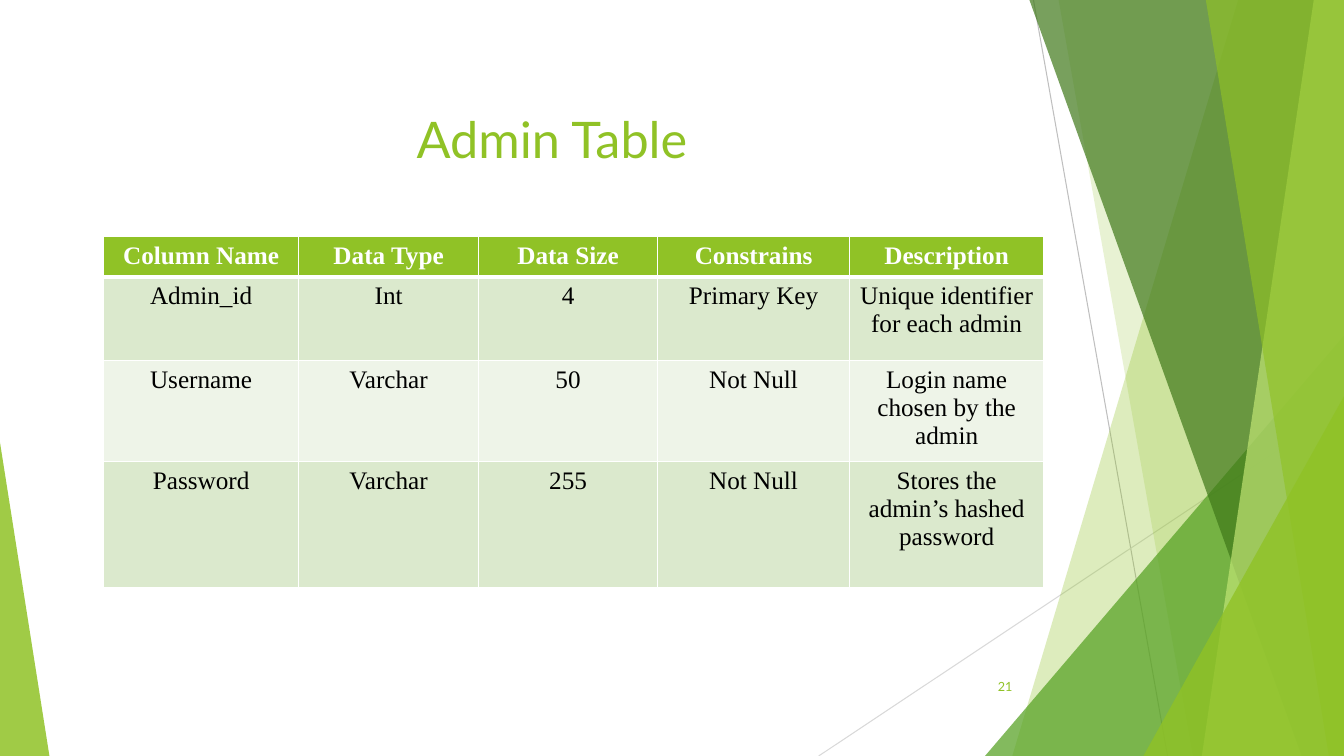
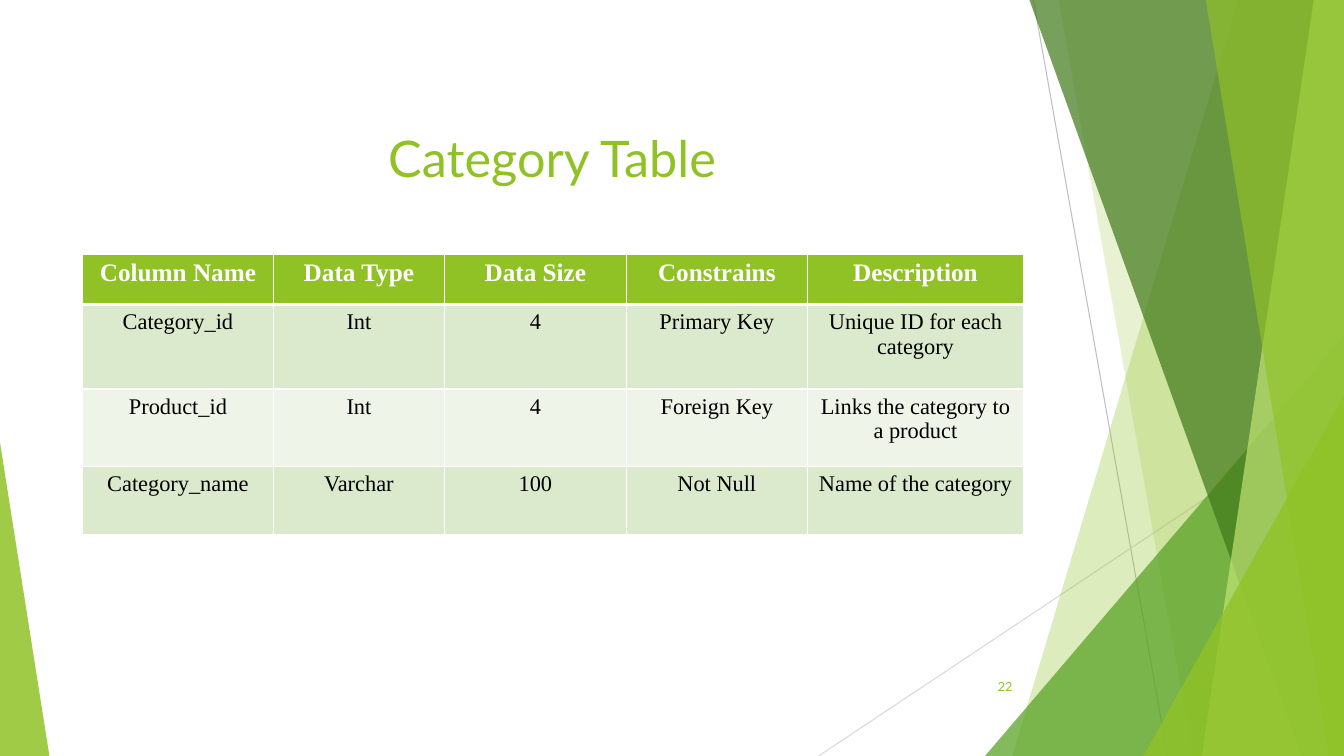
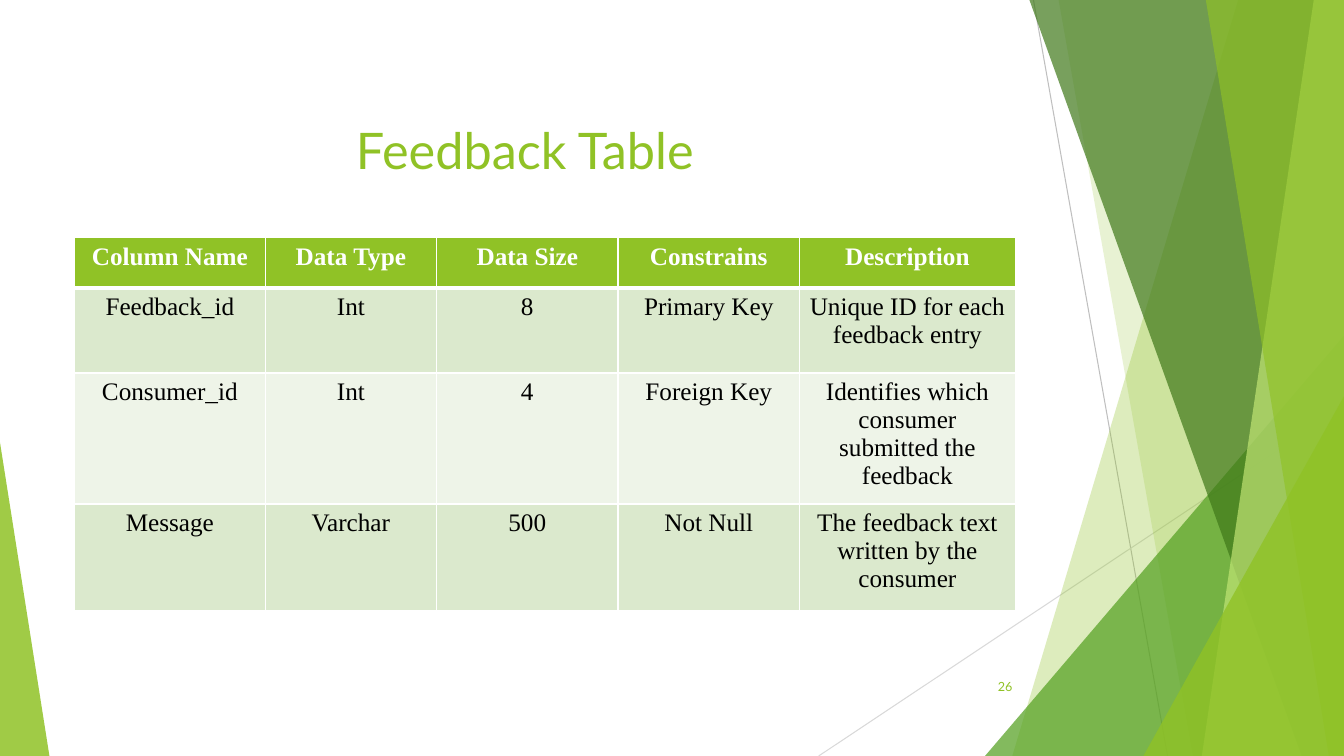
import pptx
import pptx.dml.color
import pptx.enum.shapes
import pptx.enum.text
import pptx.oxml
import pptx.oxml.ns
import pptx.util

Inches = pptx.util.Inches
Pt = pptx.util.Pt
RGBColor = pptx.dml.color.RGBColor
Align = pptx.enum.text.PP_ALIGN
Anchor = pptx.enum.text.MSO_ANCHOR
Shapes = pptx.enum.shapes.MSO_SHAPE
qn = pptx.oxml.ns.qn

# Shared look
WIDTH, HEIGHT = 13.33, 7.5
LIME = RGBColor(0x90, 0xC2, 0x26)
GREEN = RGBColor(0x54, 0xA0, 0x21)
FOREST = RGBColor(0x3F, 0x78, 0x19)
PALE_LIME = RGBColor(0xC0, 0xE4, 0x74)
BAND_DARK = RGBColor(0xDB, 0xE9, 0xCD)
BAND_LIGHT = RGBColor(0xEE, 0xF4, 0xE8)
GREY = RGBColor(0xBF, 0xBF, 0xBF)
LIGHT_GREY = RGBColor(0xD9, 0xD9, 0xD9)
WHITE = RGBColor(0xFF, 0xFF, 0xFF)
BLACK = RGBColor(0, 0, 0)
HEADING_FONT = "Lato"
TABLE_FONT = "Times New Roman"

# Table content
HEADER = ["Column Name", "Data Type", "Data Size", "Constrains", "Description"]
WIDE_DESCRIPTION = [1.89, 1.7, 1.8, 1.8, 2.14]
ADMIN_ROWS = [
    ["Admin_id", "Int", "4", "Primary Key", "Unique identifier for each admin"],
    ["Username", "Varchar", "50", "Not Null", "Login name chosen by the admin"],
    ["Password", "Varchar", "255", "Not Null", "Stores the admin’s hashed password"],
]
CATEGORY_ROWS = [
    ["Category_id", "Int", "4", "Primary Key", "Unique ID for each category"],
    ["Product_id", "Int", "4", "Foreign Key", "Links the category to a product"],
    ["Category_name", "Varchar", "100", "Not Null", "Name of the category"],
]
FEEDBACK_ROWS = [
    ["Feedback_id", "Int", "8", "Primary Key", "Unique ID for each feedback entry"],
    ["Consumer_id", "Int", "4", "Foreign Key",
     "Identifies which consumer submitted the feedback"],
    ["Message", "Varchar", "500", "Not Null", "The feedback text written by the consumer"],
]


def write(frame, text, size, font, color, align, bold=False):
    paragraph = frame.paragraphs[0]
    paragraph.alignment = align
    run = paragraph.add_run()
    run.text = text
    run.font.size = Pt(size)
    run.font.name = font
    run.font.bold = bold
    run.font.color.rgb = color


# Background facets
def paint(facet, color, opacity):
    facet.shadow.inherit = False
    facet.line.fill.background()
    facet.fill.solid()
    facet.fill.fore_color.rgb = color
    tint = facet.fill._xPr.find(qn("a:solidFill"))[0]
    alpha = pptx.oxml.parse_xml(
        f'<a:alpha {pptx.oxml.ns.nsdecls("a")} val="{opacity * 1000}"/>')
    tint.append(alpha)


def add_ray(slide, start, end, color):
    ray = slide.shapes.add_connector(
        pptx.enum.shapes.MSO_CONNECTOR.STRAIGHT,
        *(Inches(value) for value in start + end))
    ray.line.color.rgb = color
    ray.line.width = Pt(0.75)
    ray._element.spPr.append(
        pptx.oxml.parse_xml(f'<a:effectLst {pptx.oxml.ns.nsdecls("a")}/>'))


def add_facet(slide, top_x, bottom_x, color, opacity):
    """Full-height facet from a slanted left edge to the right slide edge."""
    outline = slide.shapes.build_freeform(Inches(top_x), 0)
    corners = [(WIDTH, 0), (WIDTH, HEIGHT), (bottom_x, HEIGHT)]
    outline.add_line_segments([(Inches(x), Inches(y)) for x, y in corners])
    paint(outline.convert_to_shape(), color, opacity)


def add_corner(slide, left, top, width, apex, color, opacity):
    """Triangle that stands on the bottom slide edge."""
    corner = slide.shapes.add_shape(
        Shapes.ISOSCELES_TRIANGLE, Inches(left), Inches(top),
        Inches(width), Inches(HEIGHT - top))
    corner.adjustments[0] = apex
    paint(corner, color, opacity)


def add_background(slide):
    add_ray(slide, (10.25, 0), (11.58, HEIGHT), GREY)
    add_ray(slide, (WIDTH, 4.03), (8.12, HEIGHT), LIGHT_GREY)
    add_facet(slide, 12.28, 10.04, LIME, 30)
    add_facet(slide, 10.5, 11.83, LIME, 20)
    add_corner(slide, 9.77, 3.33, 3.56, 1, GREEN, 72)
    add_facet(slide, 10.21, 12.91, FOREST, 70)
    add_facet(slide, 13.03, 11.92, PALE_LIME, 70)
    add_facet(slide, 11.96, 13.18, LIME, 65)
    add_corner(slide, 11.34, 3.93, 1.99, 1, LIME, 80)
    add_corner(slide, 0, 4.39, 0.49, 0, LIME, 85)


# Title and page number
def add_page_number(slide, number):
    footer = slide.shapes.add_textbox(
        Inches(9.39), Inches(6.61), Inches(0.75), Inches(0.4)).text_frame
    footer.word_wrap = True
    footer.vertical_anchor = Anchor.MIDDLE
    write(footer, str(number), 9, HEADING_FONT, LIME, Align.RIGHT)


def add_title(slide, text, left, top, boxed=False):
    place = Inches(left), Inches(top), Inches(6.67), Inches(0.71)
    if boxed:
        title = slide.shapes.add_shape(Shapes.RECTANGLE, *place)
        title.shadow.inherit = False
        title.fill.solid()
        title.fill.fore_color.rgb = WHITE
        title.line.color.rgb = WHITE
        title.line.width = Pt(0.75)
    else:
        title = slide.shapes.add_textbox(*place)
    title.text_frame.word_wrap = True
    title.text_frame.vertical_anchor = Anchor.TOP
    write(title.text_frame, text, 36, HEADING_FONT, LIME, Align.CENTER)


# Data dictionary table
def set_borders(cell, top, bottom):
    properties = cell._tc.get_or_add_tcPr()
    for side, points in (("L", 1), ("R", 1), ("T", top), ("B", bottom)):
        properties.append(pptx.oxml.parse_xml(
            f'<a:ln{side} {pptx.oxml.ns.nsdecls("a")} w="{Pt(points)}">'
            f'<a:solidFill><a:srgbClr val="{WHITE}"/></a:solidFill></a:ln{side}>'))


def add_dictionary(slide, rows, left, top, widths, heights, body_size=18):
    table = slide.shapes.add_table(
        len(heights), len(widths), Inches(left), Inches(top),
        Inches(sum(widths)), Inches(sum(heights))).table
    for column, width in zip(table.columns, widths):
        column.width = Inches(width)
    for row, height in zip(table.rows, heights):
        row.height = Inches(height)
    for r, texts in enumerate([HEADER] + rows):
        header = r == 0
        band = LIME if header else BAND_DARK if r % 2 else BAND_LIGHT
        for c, text in enumerate(texts):
            cell = table.cell(r, c)
            set_borders(cell, 3 if r == 1 else 1, 3 if header else 1)
            cell.margin_left = cell.margin_right = Inches(0.08)
            cell.fill.solid()
            cell.fill.fore_color.rgb = band
            write(cell.text_frame, text, 18 if header else body_size, TABLE_FONT,
                  WHITE if header else BLACK, Align.CENTER, bold=header)


def add_page(deck, number):
    slide = deck.slides.add_slide(deck.slide_layouts[6])
    add_background(slide)
    add_page_number(slide, number)
    return slide


def main():
    deck = pptx.Presentation()
    deck.slide_width = Inches(WIDTH)
    deck.slide_height = Inches(HEIGHT)

    admin = add_page(deck, 21)
    add_title(admin, "Admin Table", 2.14, 1.02, boxed=True)
    add_dictionary(admin, ADMIN_ROWS, 1.03, 2.35,
                   [1.93, 1.79, 1.77, 1.91, 1.92], [0.39, 0.83, 1, 1.25])

    category = add_page(deck, 22)
    add_title(category, "Category Table", 2.14, 1.21)
    add_dictionary(category, CATEGORY_ROWS, 0.82, 2.52,
                   WIDE_DESCRIPTION, [0.5, 0.84, 0.77, 0.67], body_size=16)

    feedback = add_page(deck, 26)
    add_title(feedback, "Feedback Table", 1.87, 1.13)
    add_dictionary(feedback, FEEDBACK_ROWS, 0.74, 2.36,
                   WIDE_DESCRIPTION, [0.5, 0.84, 1.3, 1.06])

    deck.save("out.pptx")


if __name__ == "__main__":
    main()
